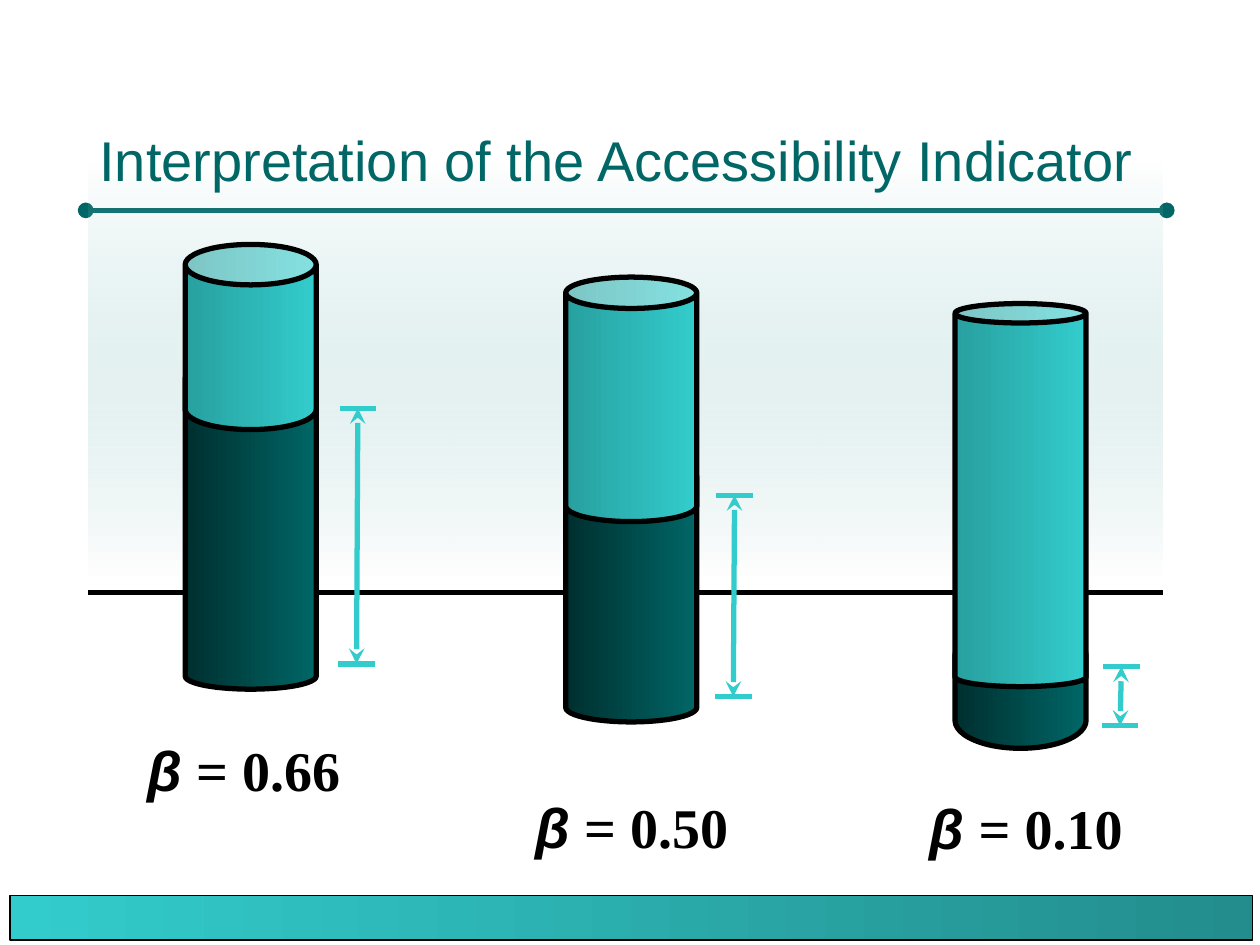
from lxml.etree import SubElement
from pptx import Presentation
from pptx.dml.color import RGBColor
from pptx.enum.shapes import MSO_CONNECTOR, MSO_SHAPE
from pptx.enum.text import MSO_ANCHOR, MSO_AUTO_SIZE, PP_ALIGN
from pptx.oxml.ns import qn
from pptx.util import Inches, Pt

deck = Presentation()
deck.slide_width, deck.slide_height = Inches(10), Inches(7.5)
page = deck.slides.add_slide(deck.slide_layouts[6])
column, row = deck.slide_width / 100, deck.slide_height / 75


def add_gradient(shapes, kind, place, colours, angle, line_width):
    left, top, width, height = place
    shape = shapes.add_shape(kind, round(left * column), round(top * row),
                             round(width * column), round(height * row))
    shape.shadow.inherit = False
    shape.fill.gradient()
    shape.fill.gradient_angle = angle
    for stop, position, colour in zip(shape.fill.gradient_stops, (0, 1), colours):
        stop.position = position
        stop.color.rgb = RGBColor.from_string(colour)
    if line_width:
        shape.line.color.rgb = RGBColor.from_string("000000")
        shape.line.width = Pt(line_width)
    else:
        shape.line.fill.background()
    return shape


def add_line(shapes, start, end, colour, tip=None):
    line = shapes.add_connector(MSO_CONNECTOR.STRAIGHT,
                                round(start[0] * column), round(start[1] * row),
                                round(end[0] * column), round(end[1] * row))
    line.line.color.rgb = RGBColor.from_string(colour)
    line.line.width = Pt(3)
    if tip:
        outline = line.line._get_or_add_ln()
        for tag in ("a:headEnd", "a:tailEnd"):
            SubElement(outline, qn(tag), type=tip)
    SubElement(line.element.spPr, qn("a:effectLst"))


add_line(page.shapes, (6.8, 16.7), (92.6, 16.7), "006666", "oval")
add_gradient(page.shapes, MSO_SHAPE.RECTANGLE, (0.8, 71.1, 98.6, 3.5),
             ("238D8D", "33CCCC"), 180, 0.75)
backdrop = add_gradient(page.shapes, MSO_SHAPE.RECTANGLE, (7, 12.9, 85.3, 32.8),
                        ("99CCCC", "FEFEFE"), 270, None)
SubElement(backdrop.element.find(".//" + qn("a:srgbClr")), qn("a:alpha"), val="0")
add_line(page.shapes, (7, 47), (92.3, 47), "000000")

texts = [(page.shapes, (6.9, 3.3, 85.8, 12.5), MSO_ANCHOR.BOTTOM, MSO_AUTO_SIZE.NONE,
          PP_ALIGN.LEFT, [("Interpretation of the Accessibility Indicator",
                           {"name": "Arial", "bold": False, "italic": False}, "006666")])]

cylinders = [
    (14.7, (29, 25.7, 0.198), (19.4, 14.7, 0.309), 28.35, (32.4, 52.7), (10.3, 57.9), "0.66"),
    (44.9, (36.7, 20.6, 0.22), (22, 19.4, 0.239), 58.25, (39.3, 55.3), (41.1, 62.4), "0.50"),
    (75.8, (49.8, 9.6, 0.462), (24.1, 30.4, 0.148), 88.95, (52.9, 57.6), (72.4, 62.5), "0.10"),
]
can_colours = [("006666", "002F2F"), ("33CCCC", "28A0A0")]

for left, lower, upper, middle, levels, label, value in cylinders:
    group = page.shapes.add_group_shape()
    for (top, height, bulge), colours in zip((lower, upper), can_colours):
        can = add_gradient(group.shapes, MSO_SHAPE.CAN, (left, top, 10.4, height),
                           colours, 180, 3)
        can.adjustments[0] = bulge
    for level, shift in zip(levels, (0.05, -0.05)):
        add_line(group.shapes, (middle + shift - 1.45, level),
                 (middle + shift + 1.45, level), "33CCCC")
    add_line(group.shapes, (middle + 0.05, levels[0]), (middle - 0.05, levels[1]),
             "33CCCC", "stealth")
    texts.append((group.shapes, (*label, 18.1, 6.4), MSO_ANCHOR.TOP,
                  MSO_AUTO_SIZE.SHAPE_TO_FIT_TEXT, PP_ALIGN.CENTER,
                  [("β", {"name": "Arial", "bold": True, "italic": True}, "000000"),
                   (f" = {value}", {"name": "Times New Roman", "bold": True, "italic": False},
                    "000000")]))

for shapes, (left, top, width, height), anchor, fit, alignment, spans in texts:
    box = shapes.add_textbox(round(left * column), round(top * row),
                             round(width * column), round(height * row))
    frame_format = {"word_wrap": True, "vertical_anchor": anchor, "auto_size": fit}
    for name, setting in frame_format.items():
        setattr(box.text_frame, name, setting)
    para = box.text_frame.paragraphs[0]
    para.alignment = alignment
    for wording, font_format, colour in spans:
        span = para.add_run()
        span.text = wording
        span.font.color.rgb = RGBColor.from_string(colour)
        for name, setting in {"size": Pt(32), **font_format}.items():
            setattr(span.font, name, setting)

deck.save("out.pptx")
